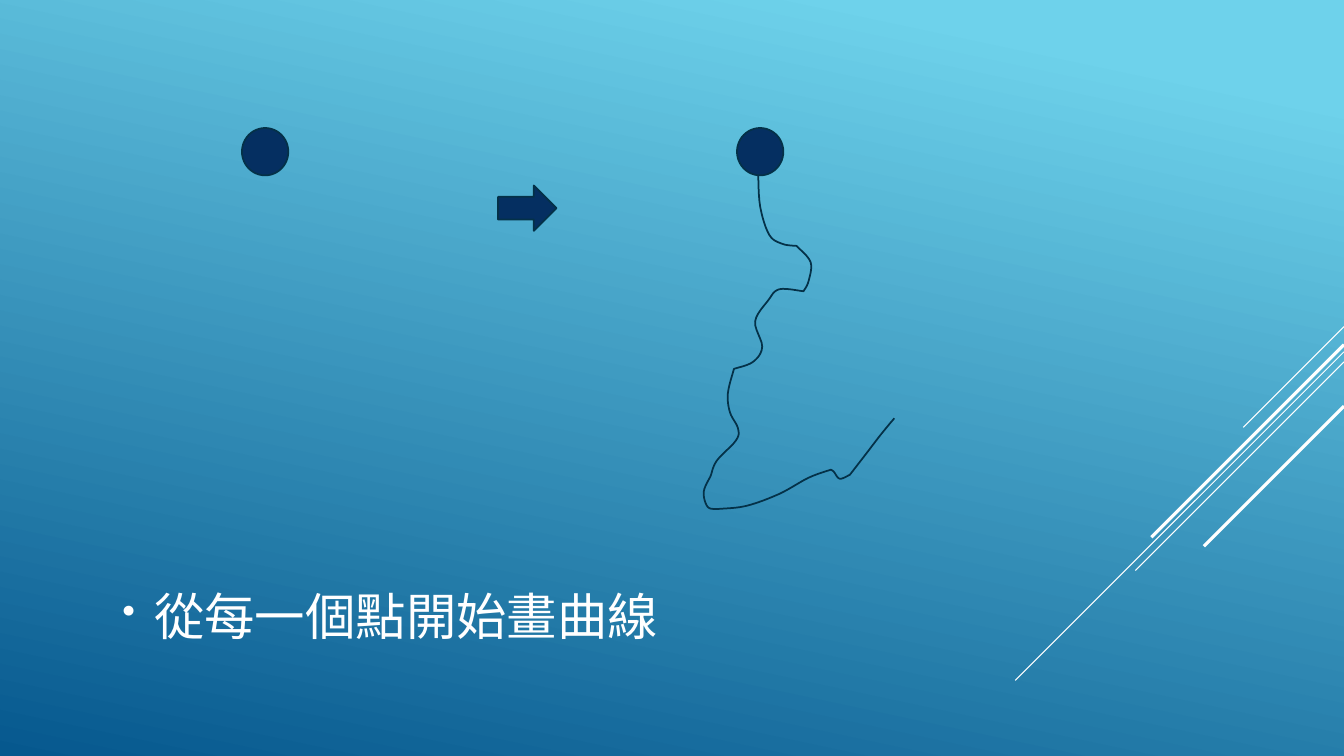
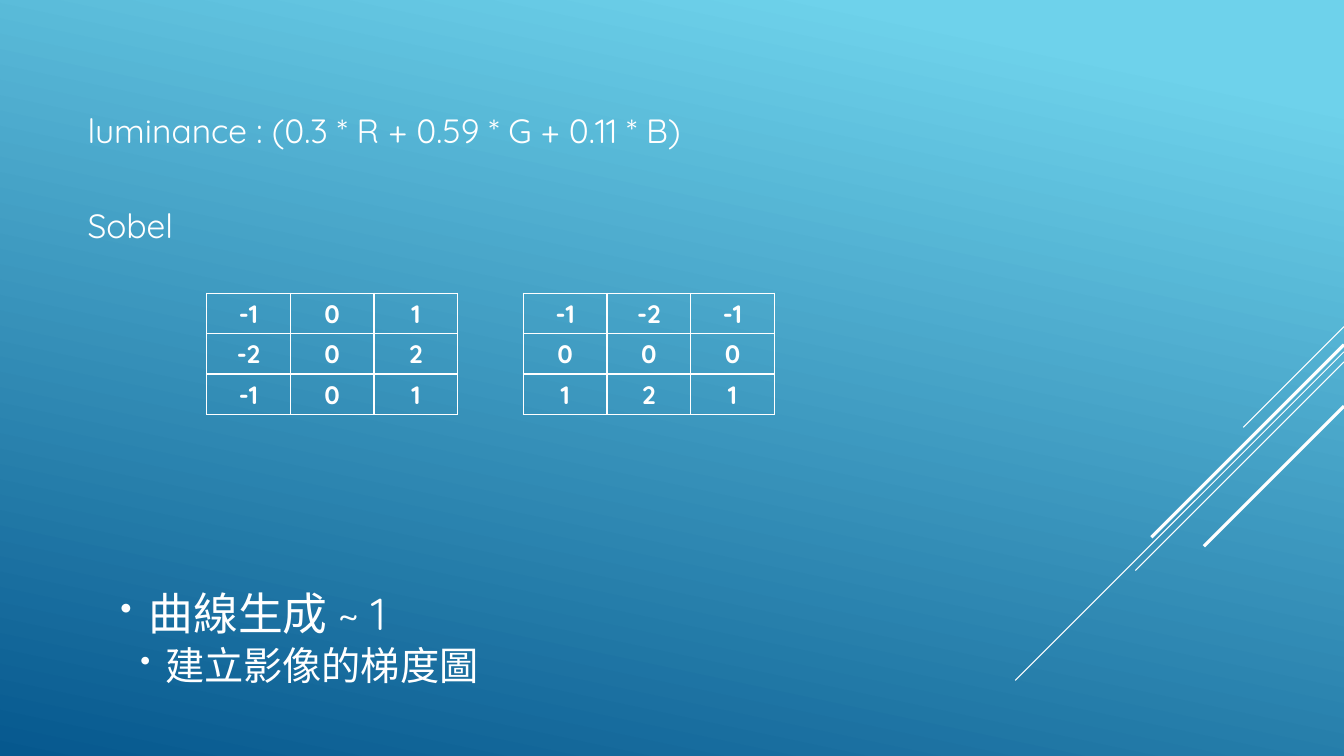
from lxml.etree import SubElement
from pptx import Presentation
from pptx.dml.color import RGBColor
from pptx.enum.shapes import MSO_CONNECTOR, MSO_SHAPE
from pptx.enum.text import PP_ALIGN
from pptx.oxml.ns import qn
from pptx.util import Inches, Pt

WHITE = RGBColor(0xFF, 0xFF, 0xFF)
SKY = RGBColor(0x6E, 0xD2, 0xEB)
OCEAN = RGBColor(0x06, 0x58, 0x8E)
NAVY = RGBColor(0x05, 0x2F, 0x61)
OUTLINE = RGBColor(0x04, 0x31, 0x48)
FONT = "Quicksand"

WIDTH, HEIGHT = 13.33, 7.5
TEXT_WIDTH = 7.61

# Diagonal rays: height at the right edge, horizontal run, line width
RAYS = [(3.24, 1, 0.75), (3.49, 3.26, 0.75), (3.59, 2.07, 0.75),
        (3.42, 1.91, 2.25), (4.03, 1.39, 2.25)]

# Left, top, size, text
CURVE_BULLETS = [(0.93, 5.76, 36, "從每一個點開始畫曲線")]
GRADIENT_BULLETS = [(0.93, 5.76, 32, "曲線生成 ~ 1"),
                    (1.15, 6.31, 28, "建立影像的梯度圖")]
FORMULAS = [(0.77, 1.04, 24, "luminance : (0.3 * R + 0.59 * G + 0.11 * B)"),
            (0.77, 1.98, 24, "Sobel")]

SOBEL_X = [(-1, 0, 1), (-2, 0, 2), (-1, 0, 1)]
SOBEL_Y = list(zip(*SOBEL_X))
KERNEL_LEFT, KERNEL_TOP, KERNEL_PITCH = 2.05, 2.91, 3.14
CELL_WIDTH, CELL_HEIGHT = 0.83, 0.4

ARROW = (4.94, 1.84, 0.58, 0.45)
DOT_LEFTS = [2.4, 7.31]
DOT_TOP, DOT_WIDTH, DOT_HEIGHT = 1.27, 0.46, 0.47

# Each stroke is smooth and goes on from the end of the one before;
# the curve has a corner only where two strokes meet.
CURVE_START = (7.52, 1.72)
CURVE_STROKES = {
    "drop": [(7.54, 2.05), (7.63, 2.33), (7.76, 2.42), (7.9, 2.44)],
    "bulge": [(8.04, 2.6), (8.02, 2.79), (7.97, 2.89)],
    "wave": [(7.73, 2.87), (7.62, 2.98), (7.49, 3.19), (7.56, 3.44),
             (7.47, 3.59), (7.28, 3.66)],
    "descent": [(7.22, 3.9), (7.24, 4.09), (7.32, 4.25), (7.3, 4.37),
                (7.11, 4.57), (7.05, 4.72)],
    "hook": [(6.98, 4.88), (7.02, 5.03), (7.12, 5.05)],
    "rise": [(7.4, 5.02), (7.73, 4.9), (8.02, 4.74), (8.24, 4.66)],
    "notch": [(8.27, 4.68), (8.33, 4.75), (8.43, 4.71)],
    "tail": [(8.6, 4.49), (8.73, 4.32), (8.87, 4.15)],
}
STEPS_PER_SPAN = 6


def set_background(master):
    fill = master.background.fill
    fill.gradient()
    fill.gradient_angle = 258
    for stop, position, color in zip(fill.gradient_stops, (0.1, 1), (SKY, OCEAN)):
        stop.position = position
        stop.color.rgb = color


def add_slide(deck):
    """Add a blank slide with the diagonal rays."""
    slide = deck.slides.add_slide(deck.slide_layouts[6])
    for y, run, width in RAYS:
        ray = slide.shapes.add_connector(
            MSO_CONNECTOR.STRAIGHT, Inches(WIDTH), Inches(y),
            Inches(WIDTH - run), Inches(y + run))
        ray.line.color.rgb = WHITE
        ray.line.width = Pt(width)
        SubElement(ray._element.spPr, qn("a:effectLst"))
    return slide


def write(paragraph, text, size, bold=False):
    run = paragraph.add_run()
    run.text = text
    run.font.name = FONT
    run.font.size = Pt(size)
    run.font.bold = bold
    run.font.color.rgb = WHITE


def add_bullet(paragraph, size):
    """Hang a small bullet in a margin one character wide."""
    properties = paragraph._p.get_or_add_pPr()
    properties.set("marL", str(Pt(size)))
    properties.set("indent", str(-Pt(size * 0.63)))
    SubElement(properties, qn("a:buSzPct"), val="75000")
    SubElement(properties, qn("a:buChar"), char="•")


def add_texts(slide, texts, bullet=False):
    for left, top, size, text in texts:
        box = slide.shapes.add_textbox(Inches(left), Inches(top),
                                       Inches(TEXT_WIDTH), Inches(size / 60 + 0.1))
        box.text_frame.word_wrap = True
        paragraph = box.text_frame.paragraphs[0]
        write(paragraph, text, size)
        if bullet:
            add_bullet(paragraph, size)


def style_outline(shape):
    shape.shadow.inherit = False
    shape.line.color.rgb = OUTLINE
    shape.line.width = Pt(1.25)


def add_navy_shape(slide, kind, *bounds):
    shape = slide.shapes.add_shape(kind, *map(Inches, bounds))
    style_outline(shape)
    shape.fill.solid()
    shape.fill.fore_color.rgb = NAVY


def spline_value(before, start, end, after, t):
    """Catmull-Rom value at t, from start (t=0) to end (t=1)."""
    return 0.5 * (2 * start + (end - before) * t
                  + (2 * before - 5 * start + 4 * end - after) * t ** 2
                  + (3 * start - before - 3 * end + after) * t ** 3)


def smooth_stroke(anchors):
    """Points of a smooth line through the anchors, without the first."""
    padded = [anchors[0], *anchors, anchors[-1]]
    return [tuple(spline_value(*axis, step / STEPS_PER_SPAN) for axis in zip(*span))
            for span in zip(padded, padded[1:], padded[2:], padded[3:])
            for step in range(1, STEPS_PER_SPAN + 1)]


def add_curve(slide):
    points = [CURVE_START]
    for anchors in CURVE_STROKES.values():
        points += smooth_stroke([points[-1], *anchors])
    start, *rest = [(Inches(x), Inches(y)) for x, y in points]
    builder = slide.shapes.build_freeform(*start)
    builder.add_line_segments(rest, close=False)
    curve = builder.convert_to_shape()
    style_outline(curve)
    curve.fill.background()


def add_borders(cell):
    properties = cell._tc.get_or_add_tcPr()
    for side in ("lnL", "lnR", "lnT", "lnB"):
        line = SubElement(properties, qn("a:" + side), w=str(Pt(1)))
        fill = SubElement(line, qn("a:solidFill"))
        SubElement(fill, qn("a:srgbClr"), val=str(WHITE))


def add_kernel(slide, left, kernel):
    size = len(kernel)
    table = slide.shapes.add_table(
        size, size, Inches(left), Inches(KERNEL_TOP),
        Inches(CELL_WIDTH * size), Inches(CELL_HEIGHT * size)).table
    table.first_row = table.horz_banding = False
    for r, weights in enumerate(kernel):
        for c, weight in enumerate(weights):
            cell = table.cell(r, c)
            add_borders(cell)
            cell.fill.background()
            paragraph = cell.text_frame.paragraphs[0]
            paragraph.alignment = PP_ALIGN.CENTER
            write(paragraph, str(weight), 18, bold=True)


def build_curve_slide(deck):
    slide = add_slide(deck)
    add_texts(slide, CURVE_BULLETS, bullet=True)
    add_navy_shape(slide, MSO_SHAPE.RIGHT_ARROW, *ARROW)
    add_curve(slide)
    for left in DOT_LEFTS:
        add_navy_shape(slide, MSO_SHAPE.OVAL, left, DOT_TOP, DOT_WIDTH, DOT_HEIGHT)


def build_gradient_slide(deck):
    slide = add_slide(deck)
    add_texts(slide, FORMULAS)
    add_texts(slide, GRADIENT_BULLETS, bullet=True)
    for i, kernel in enumerate((SOBEL_X, SOBEL_Y)):
        add_kernel(slide, KERNEL_LEFT + i * KERNEL_PITCH, kernel)


def main():
    deck = Presentation()
    deck.slide_width, deck.slide_height = Inches(WIDTH), Inches(HEIGHT)
    set_background(deck.slide_master)
    build_curve_slide(deck)
    build_gradient_slide(deck)
    deck.save("out.pptx")


if __name__ == "__main__":
    main()
